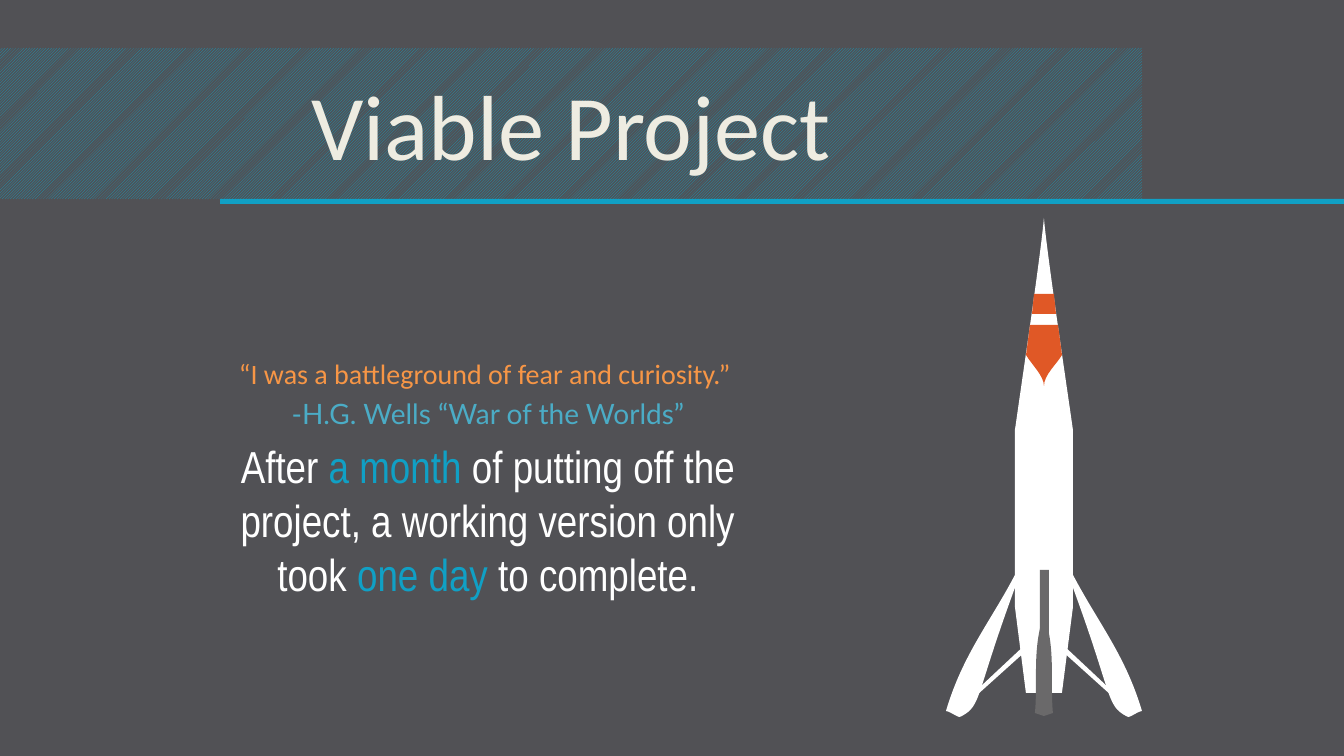
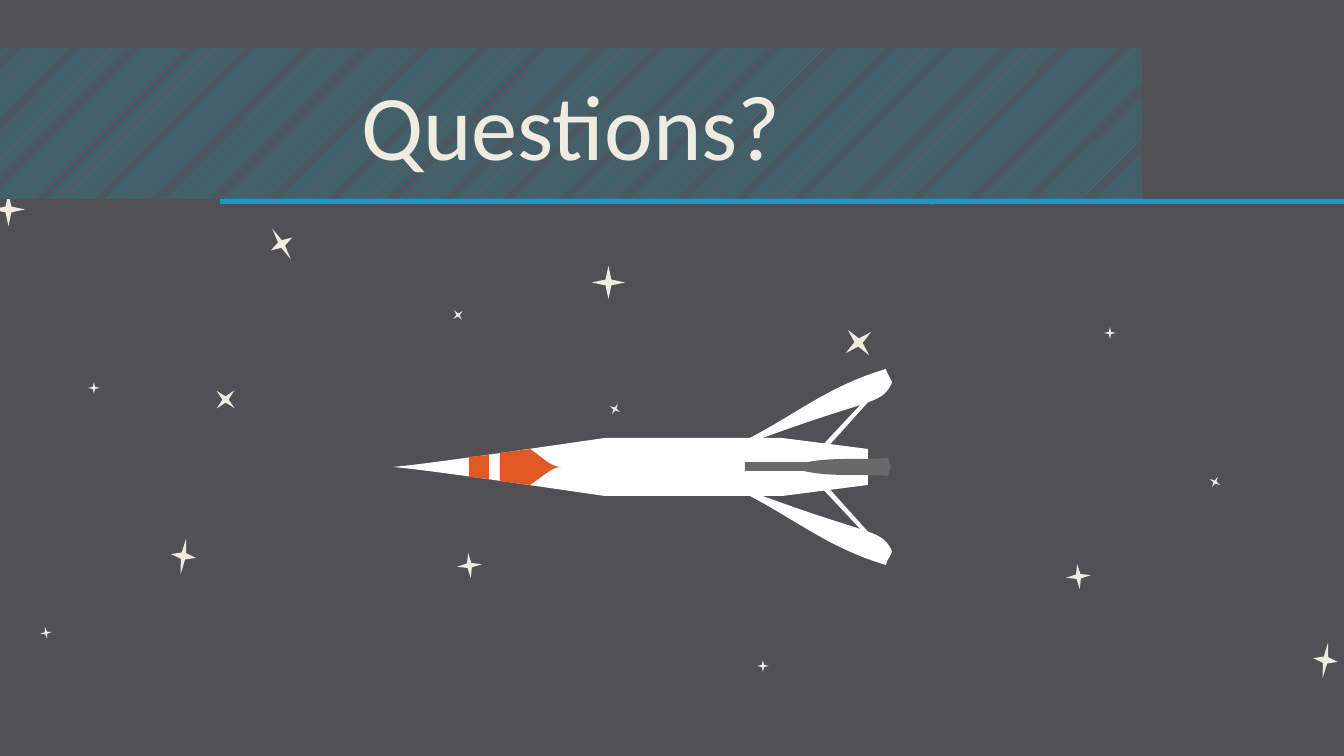
from dataclasses import dataclass
from enum import Enum

from lxml.etree import SubElement
from pptx import Presentation
from pptx.dml.color import RGBColor
from pptx.enum.dml import MSO_PATTERN
from pptx.enum.shapes import MSO_SHAPE
from pptx.enum.text import MSO_ANCHOR, MSO_AUTO_SIZE, PP_ALIGN
from pptx.oxml.ns import qn
from pptx.presentation import Presentation as Deck
from pptx.shapes.base import BaseShape
from pptx.slide import Slide
from pptx.text.text import TextFrame, _Paragraph, _Run
from pptx.util import Emu, Pt

PX = 914400 / 100.8
COLORS = {
    "space": "515155",
    "accent": "10A0C5",
    "cream": "EEECE1",
    "white": "FFFFFF",
    "steel": "6A696A",
    "flame": "E05826",
    "quote": "F79646",
    "source": "4BACC6",
}
TITLE_ONLY = 5
Point = tuple[float, float]


class Heading(Enum):
    """Direction in which the rocket's nose points."""

    UP = "up"
    LEFT = "left"


class StarSize(Enum):
    """Width and height of a star."""

    SMALL = (12, 12)
    MEDIUM = (25, 25)
    TALL = (25, 36)
    LARGE = (33, 33)


@dataclass(frozen=True)
class Star:
    """A star by its left top corner, size and turn in degrees."""

    left: int
    top: int
    size: StarSize
    turn: float = 0


@dataclass(frozen=True)
class Block:
    """A rectangle of the rocket: offset across and along its axis, and extent."""

    color: str
    across: int
    along: int
    width: int
    length: int


@dataclass(frozen=True)
class Outline:
    """A rocket part: a start, then steps of one point (line) or three (curve)."""

    color: str
    start: Point
    steps: tuple[tuple[Point, ...], ...]
    paired: bool = False


@dataclass(frozen=True)
class Phrase:
    """Words in one colour."""

    words: str
    color: str


@dataclass(frozen=True)
class Statement:
    """A paragraph in one font and size."""

    phrases: tuple[Phrase, ...]
    font: str
    size: int
    gap: float


# Offsets across and along the axis, measured from the tip of the nose.
ROCKET = (
    Outline("white", (29, 389), (((18, 475),), ((-18, 475),), ((-29, 389),))),
    Outline("white", (-29, 212), (((-19, 142), (-3, 35), (0, 0)),
                                  ((3, 35), (19, 142), (29, 212)))),
    Block("white", -29, 212, 58, 177),
    Outline("white", (-98, 493), (((-81, 436), (-54, 405), (-28, 355)),
                                  ((-28, 367),),
                                  ((-69, 478), (-62, 487), (-82, 498)),
                                  ((-84, 502), (-92, 494), (-98, 493))), True),
    Outline("white", (-66, 471), (((-18, 426),), ((-18, 433),), ((-68, 478),)), True),
    Block("steel", -4, 352, 9, 96),
    Outline("steel", (0, 397), (((0, 498),), ((-9, 495),),
                                ((-6, 463), (-12, 430), (0, 397))), True),
    Outline("flame", (-14, 107), (((14, 107),), ((18, 137),), ((-18, 137),))),
    Outline("flame", (18, 137), (((12, 147), (0, 157), (0, 168)),
                                 ((0, 158), (-12, 147), (-18, 137)))),
    Outline("flame", (-10, 76), (((10, 76),), ((12, 96),), ((-12, 96),))),
)

STARS = (
    Star(88, 382, StarSize.SMALL),
    Star(457, 553, StarSize.MEDIUM, 353.9),
    Star(171, 538, StarSize.TALL, 8.8),
    Star(609, 403, StarSize.SMALL, 300),
    Star(757, 660, StarSize.SMALL),
    Star(927, 193, StarSize.SMALL),
    Star(-8, 193, StarSize.LARGE),
    Star(1104, 327, StarSize.SMALL),
    Star(1066, 564, StarSize.MEDIUM, 353.9),
    Star(1313, 642, StarSize.TALL, 8.8),
    Star(1209, 476, StarSize.SMALL, 300),
    Star(592, 266, StarSize.LARGE),
    Star(452, 309, StarSize.SMALL, 140),
    Star(213, 387, StarSize.MEDIUM, 134),
    Star(269, 226, StarSize.TALL, 148.8),
    Star(40, 627, StarSize.SMALL, 80),
    Star(842, 326, StarSize.LARGE, 140),
)

STORY = (
    Statement((Phrase("“I was a battleground of fear and curiosity.” ", "quote"),),
              "Calibri", 20, 4),
    Statement((Phrase("-H.G. Wells “War of the Worlds”", "source"),), "Lato", 20, 4),
    Statement((Phrase("After ", "white"),
               Phrase("a month ", "accent"),
               Phrase("of putting off the project, a working version only took ", "white"),
               Phrase("one day ", "accent"),
               Phrase("to complete.", "white")), "Arial Narrow", 32, 6.4),
)


def px(length: float) -> Emu:
    """Turn pixels into EMU."""
    return Emu(round(length * PX))


def rgb(name: str) -> RGBColor:
    """Look up a named colour."""
    return RGBColor.from_string(COLORS[name])


def paint(shape: BaseShape, color: str) -> None:
    """Give a shape a flat fill without line or shadow."""
    shape.fill.solid()
    shape.fill.fore_color.rgb = rgb(color)
    shape.line.fill.background()
    shape.shadow.inherit = False


def write(paragraph: _Paragraph, phrase: Phrase, font: str, size: int) -> _Run:
    """Add one formatted run."""
    run = paragraph.add_run()
    run.text = phrase.words
    run.font.name = font
    run.font.size = Pt(size)
    run.font.color.rgb = rgb(phrase.color)
    return run


def center_text(frame: TextFrame) -> None:
    """Wrap text at a fixed size, in the middle of its frame."""
    frame.word_wrap = True
    frame.auto_size = MSO_AUTO_SIZE.NONE
    frame.vertical_anchor = MSO_ANCHOR.MIDDLE


def outline_text(run: _Run, color: str, points: float) -> None:
    """Draw a line around the letters of a run."""
    properties = run.font._element
    line = SubElement(properties, qn("a:ln"), w=str(Pt(points)))
    fill = SubElement(line, qn("a:solidFill"))
    SubElement(fill, qn("a:srgbClr"), val=COLORS[color])
    properties.insert(0, line)


def add_title_band(slide: Slide, words: str) -> None:
    """Format the title as a hatched band above a rule, in front of the stars."""
    band = slide.shapes.title
    band.left, band.top, band.width, band.height = px(0), px(48), px(1142), px(151)
    band.fill.patterned()
    band.fill.pattern = MSO_PATTERN.LIGHT_UPWARD_DIAGONAL
    band.fill.fore_color.rgb = rgb("accent")
    band.fill.back_color.rgb = rgb("space")
    center_text(band.text_frame)
    paragraph = band.text_frame.paragraphs[0]
    paragraph.alignment = PP_ALIGN.CENTER
    run = write(paragraph, Phrase(words, "cream"), "Calibri", 66)
    outline_text(run, "space", 0.75)
    slide.shapes._spTree.append(band._element)
    rule = slide.shapes.add_shape(MSO_SHAPE.RECTANGLE, px(220), px(199), px(1124), px(5))
    paint(rule, "accent")


def add_star(slide: Slide, star: Star) -> None:
    """Draw a four-pointed star."""
    width, height = star.size.value
    shape = slide.shapes.add_shape(
        MSO_SHAPE.STAR_4_POINT, px(star.left), px(star.top), px(width), px(height))
    shape.rotation = star.turn
    paint(shape, "cream")


def bend(shape: BaseShape, part: Outline) -> None:
    """Join the lines of each three-point step into one cubic curve."""
    contour = shape._element.find(".//" + qn("a:path"))
    segments = iter(contour.findall(qn("a:lnTo")))
    for step in part.steps:
        lines = [next(segments) for _ in step]
        if len(lines) == 3:
            curve = SubElement(contour, qn("a:cubicBezTo"))
            lines[0].addprevious(curve)
            for line in lines:
                curve.append(line[0])
                contour.remove(line)


def add_rocket(slide: Slide, nose: Point, heading: Heading) -> None:
    """Draw the rocket as a group with its nose at the given place."""
    rocket = slide.shapes.add_group_shape().shapes

    def place(point: Point) -> tuple[Emu, Emu]:
        """Put an offset from the nose on the slide."""
        across, along = point
        dx, dy = (across, along) if heading is Heading.UP else (along, -across)
        return px(nose[0] + dx), px(nose[1] + dy)

    for part in ROCKET:
        if isinstance(part, Block):
            x1, y1 = place((part.across, part.along))
            x2, y2 = place((part.across + part.width, part.along + part.length))
            block = rocket.add_shape(MSO_SHAPE.RECTANGLE, min(x1, x2), min(y1, y2),
                                     abs(x2 - x1), abs(y2 - y1))
            paint(block, part.color)
            continue
        corners = [part.start, *(point for step in part.steps for point in step)]
        for side in (1, -1) if part.paired else (1,):
            points = [place((side * across, along)) for across, along in corners]
            builder = rocket.build_freeform(*points[0])
            builder.add_line_segments(points[1:], close=True)
            shape = builder.convert_to_shape()
            bend(shape, part)
            paint(shape, part.color)


def add_story(slide: Slide) -> None:
    """Write the quotation and the statement beside the rocket."""
    frame = slide.shapes.add_textbox(px(220), px(229), px(536), px(499)).text_frame
    center_text(frame)
    for index, statement in enumerate(STORY):
        paragraph = frame.add_paragraph() if index else frame.paragraphs[0]
        paragraph.alignment = PP_ALIGN.CENTER
        paragraph.space_before = Pt(statement.gap)
        for phrase in statement.phrases:
            write(paragraph, phrase, statement.font, statement.size)


def add_project_slide(deck: Deck) -> None:
    """Build the slide about the project."""
    slide = deck.slides.add_slide(deck.slide_layouts[TITLE_ONLY])
    add_title_band(slide, "Viable Project")
    add_rocket(slide, (1044, 218), Heading.UP)
    add_story(slide)


def add_questions_slide(deck: Deck) -> None:
    """Build the closing slide with the rocket among stars."""
    slide = deck.slides.add_slide(deck.slide_layouts[TITLE_ONLY])
    for star in STARS:
        add_star(slide, star)
    add_title_band(slide, "Questions?")
    add_rocket(slide, (393, 467), Heading.LEFT)


def main() -> None:
    """Build and save the deck."""
    deck = Presentation()
    deck.slide_width, deck.slide_height = px(1344), px(756)
    backdrop = deck.slide_master.background.fill
    backdrop.solid()
    backdrop.fore_color.rgb = rgb("space")
    add_project_slide(deck)
    add_questions_slide(deck)
    deck.save("out.pptx")


main()
